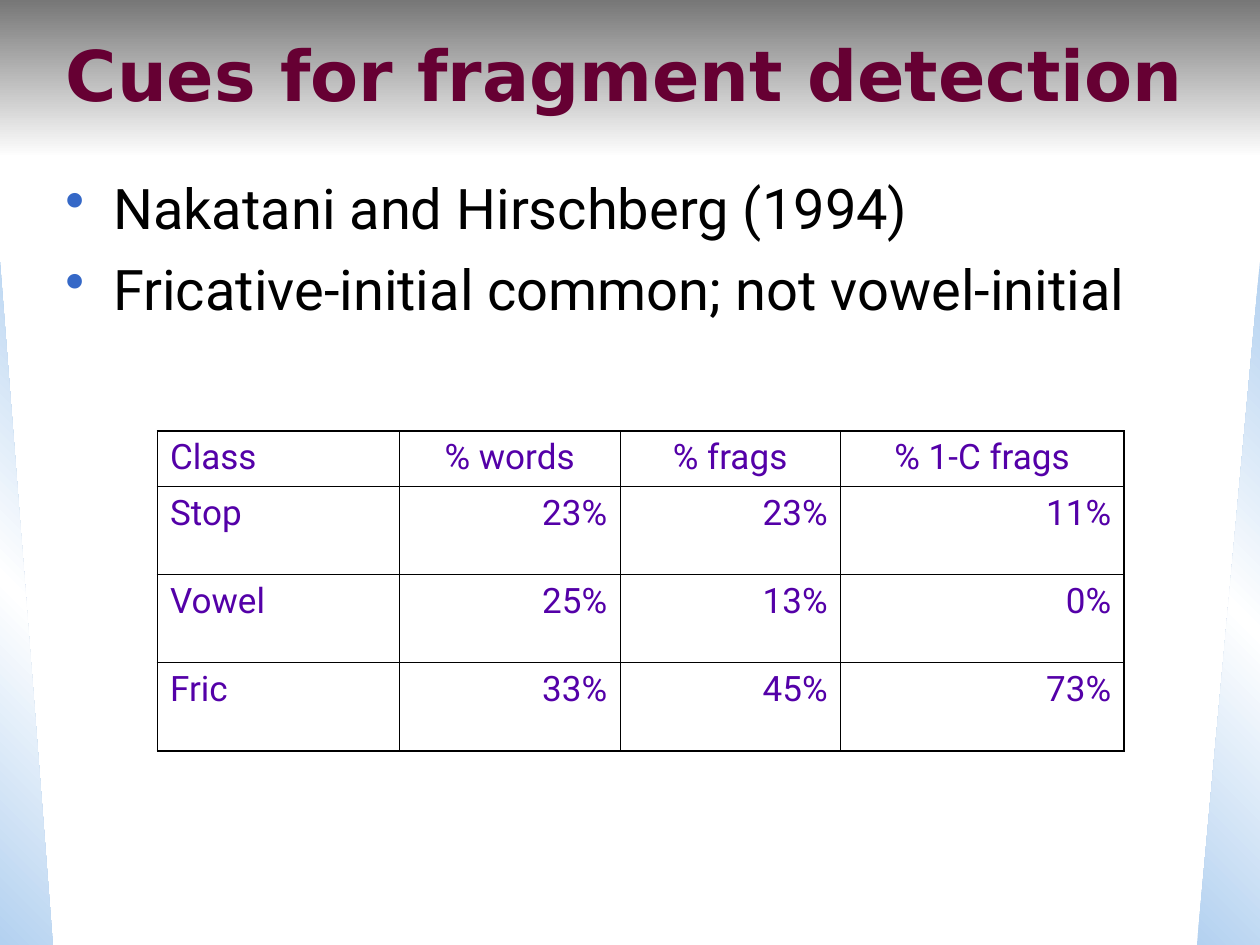
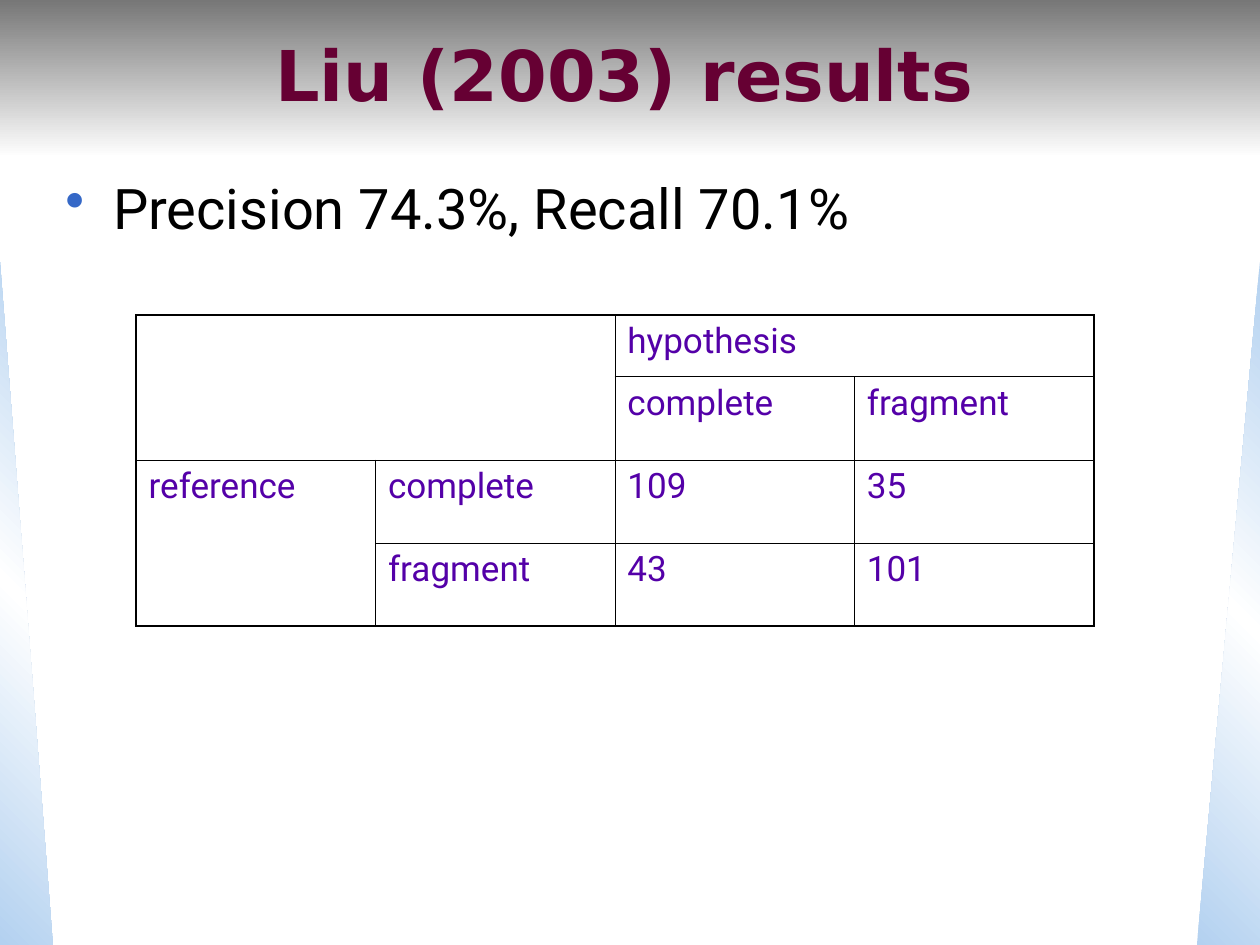
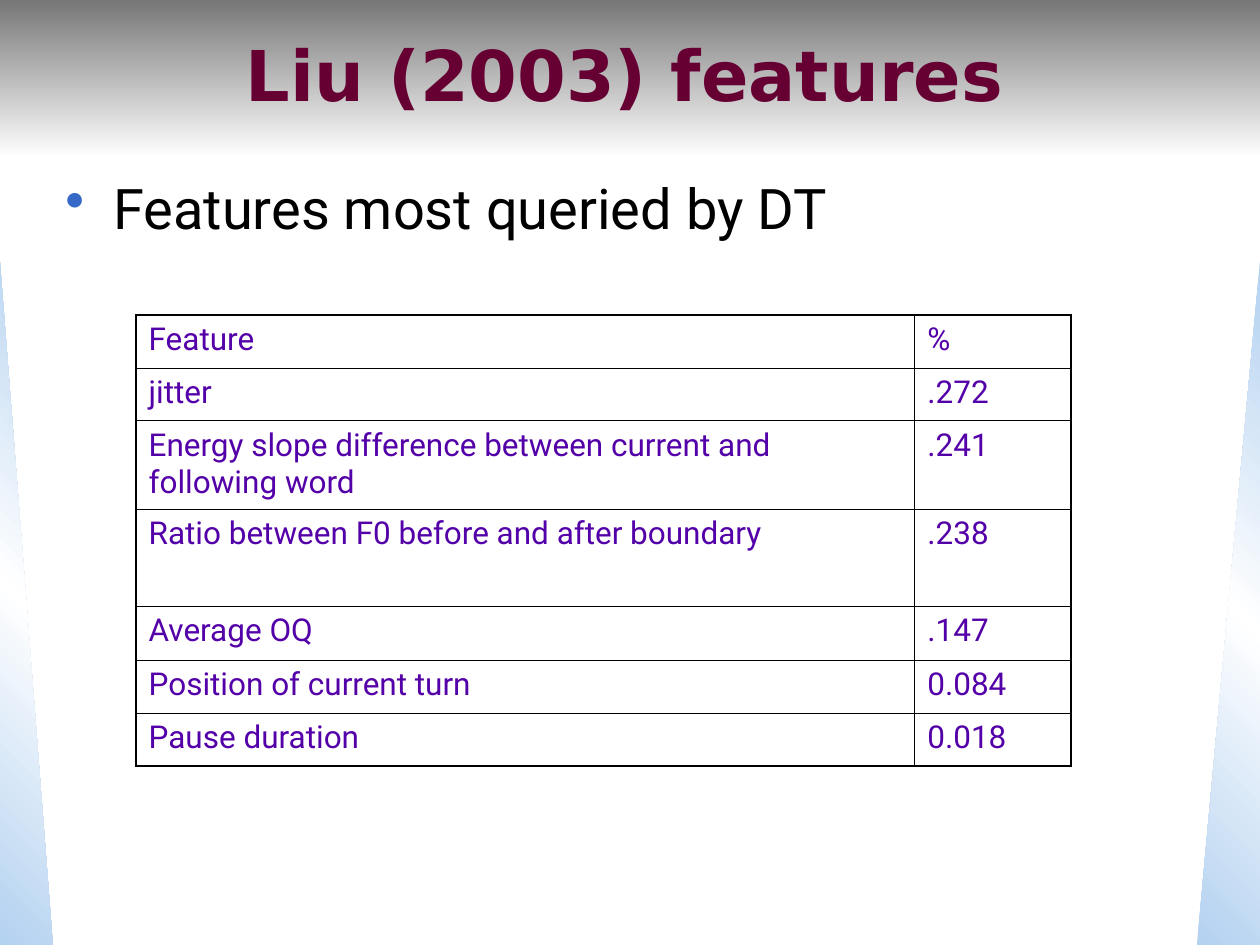
from dataclasses import dataclass

from pptx import Presentation
from pptx import util as u
from pptx.dml.color import RGBColor
from pptx.enum import shapes, text
from pptx.oxml import parse_xml
from pptx.oxml.ns import nsdecls, qn

TITLE_ONLY = 5


@dataclass(frozen=True)
class Theme:
    title_font: str = "DejaVu Sans"
    body_font: str = "Roboto"
    title_color: str = "660033"
    body_color: str = "000000"
    bullet_color: str = "3568C7"
    table_color: str = "5400A8"
    border_color: str = "000000"
    band: tuple = ("777777", "FFFFFF")
    wedge: tuple = ("B3D1F0", "FFFFFF", "B3D1F0")
    title_size: float = 40
    body_size: float = 32
    table_size: float = 20
    small_table_size: float = 18
    outer_border: float = 1.08
    inner_border: float = 0.45


class Deck:
    def __init__(self, theme):
        self.theme = theme
        self.prs = Presentation()
        self.prs.slide_width, self.prs.slide_height = u.Inches(10), u.Inches(7.5)
        self.s = None

    def slide(self, title):
        t = self.theme
        self.s = self.prs.slides.add_slide(self.prs.slide_layouts[TITLE_ONLY])
        self.gradient_shape(shapes.MSO_SHAPE.RECTANGLE, (0, 0, 10, 1.25), t.band, 90)
        triangle = shapes.MSO_SHAPE.RIGHT_TRIANGLE
        self.gradient_shape(triangle, (0, 2.08, 0.42, 5.42), t.wedge, 135)
        right = self.gradient_shape(triangle, (9.5, 2.08, 0.5, 5.42), t.wedge, 225)
        right.element.spPr.find(qn("a:xfrm")).set("flipH", "1")
        self.title(title)

    def title(self, words):
        t = self.theme
        sp = self.s.shapes.title
        self.s.shapes.element.append(sp.element)  # bring in front of the band
        sp.left, sp.top, sp.width, sp.height = map(u.Inches, (0.08, 0, 9.75, 1.17))
        tf = sp.text_frame
        tf.text = words
        tf.word_wrap = True
        tf.auto_size = text.MSO_AUTO_SIZE.NONE
        tf.vertical_anchor = text.MSO_ANCHOR.MIDDLE
        p = tf.paragraphs[0]
        p.alignment = text.PP_ALIGN.CENTER
        self.format_runs(p, t.title_font, t.title_size, t.title_color, bold=True)

    def gradient_shape(self, kind, box, colors, angle):
        """Add a borderless shape whose colours are spread evenly along angle."""
        sp = self.s.shapes.add_shape(kind, *map(u.Inches, box))
        step = 100000 // (len(colors) - 1)
        stops = "".join(
            f'<a:gs pos="{i * step}"><a:srgbClr val="{color}"/></a:gs>'
            for i, color in enumerate(colors))
        sp.element.spPr.append(parse_xml(
            f'<a:gradFill {nsdecls("a")} rotWithShape="1"><a:gsLst>{stops}</a:gsLst>'
            f'<a:lin ang="{angle * 60000}" scaled="0"/></a:gradFill>'))
        sp.line.fill.background()
        sp.shadow.inherit = False
        return sp

    def bullets(self, *lines):
        t = self.theme
        sp = self.s.shapes.add_textbox(*map(u.Inches, (0.42, 1.33, 9, 5.75)))
        tf = sp.text_frame
        tf.word_wrap = True
        for i, line in enumerate(lines):
            p = tf.add_paragraph() if i else tf.paragraphs[0]
            p.text = line
            pPr = p._p.get_or_add_pPr()
            indent = u.Inches(0.38)
            pPr.set("marL", str(indent))
            pPr.set("indent", str(-indent))
            pPr.append(parse_xml(
                f'<a:buClr {nsdecls("a")}><a:srgbClr val="{t.bullet_color}"/></a:buClr>'))
            pPr.append(parse_xml(f'<a:buChar {nsdecls("a")} char="•"/>'))
            p.space_before = u.Pt(8 if i else 0)
            self.format_runs(p, t.body_font, t.body_size, t.body_color)

    def table(self, left, top, cols, heights, rows, size, merges=(),
              head_align=text.PP_ALIGN.LEFT, value_align=text.PP_ALIGN.LEFT):
        """Add a ruled table; the two alignments apply after the first column."""
        t = self.theme
        frame = self.s.shapes.add_table(
            len(rows), len(cols),
            *map(u.Inches, (left, top, sum(cols), sum(heights))))
        tbl = frame.table
        tbl.first_row = tbl.horz_banding = False
        for col, width in zip(tbl.columns, cols):
            col.width = u.Inches(width)
        for row, height in zip(tbl.rows, heights):
            row.height = u.Inches(height)
        for first, last in merges:
            tbl.cell(*first).merge(tbl.cell(*last))
        for i, row in enumerate(rows):
            for j, value in enumerate(row):
                cell = tbl.cell(i, j)
                if cell.is_spanned:
                    continue
                if value:
                    cell.text = value
                    p = cell.text_frame.paragraphs[0]
                    if j:
                        p.alignment = value_align if i else head_align
                    self.format_runs(p, t.body_font, size, t.table_color)
                down, across = ((cell.span_height, cell.span_width)
                                if cell.is_merge_origin else (1, 1))
                self.borders(cell, L=j == 0, R=j + across == len(cols),
                             T=i == 0, B=i + down == len(rows))
                cell.fill.background()

    def borders(self, cell, **outer_sides):
        t = self.theme
        tcPr = cell._tc.get_or_add_tcPr()
        for side, outer in outer_sides.items():
            width = u.Pt(t.outer_border if outer else t.inner_border)
            tcPr.append(parse_xml(
                f'<a:ln{side} {nsdecls("a")} w="{width}"><a:solidFill>'
                f'<a:srgbClr val="{t.border_color}"/></a:solidFill></a:ln{side}>'))

    @staticmethod
    def format_runs(p, font, size, color, bold=False):
        for r in p.runs:
            r.font.name = font
            r.font.size = u.Pt(size)
            r.font.bold = bold
            r.font.color.rgb = RGBColor.from_string(color)


def main():
    theme = Theme()
    deck = Deck(theme)

    deck.slide("Cues for fragment detection")
    deck.bullets("Nakatani and Hirschberg (1994)",
                 "Fricative-initial common; not vowel-initial")
    deck.table(1.25, 3.42, [1.92, 1.75, 1.75, 2.25], [0.44] + [0.7] * 3, [
        ["Class", "% words", "% frags", "% 1-C frags"],
        ["Stop", "23%", "23%", "11%"],
        ["Vowel", "25%", "13%", "0%"],
        ["Fric", "33%", "45%", "73%"],
    ], theme.table_size, head_align=text.PP_ALIGN.CENTER,
        value_align=text.PP_ALIGN.RIGHT)

    deck.slide("Liu (2003) results")
    deck.bullets("Precision 74.3%, Recall 70.1%")
    deck.table(1.08, 2.5, [1.9] * 4, [0.49] + [0.66] * 3, [
        ["", "", "hypothesis", ""],
        ["", "", "complete", "fragment"],
        ["reference", "complete", "109", "35"],
        ["", "fragment", "43", "101"],
    ], theme.table_size,
        merges=[((0, 0), (1, 1)), ((0, 2), (0, 3)), ((2, 0), (3, 0))])

    deck.slide("Liu (2003) features")
    deck.bullets("Features most queried by DT")
    deck.table(1.08, 2.5, [6.18, 1.24], [0.42, 0.42, 0.7, 0.77, 0.43, 0.42, 0.42], [
        ["Feature", "%"],
        ["jitter", ".272"],
        ["Energy slope difference between current and following word", ".241"],
        ["Ratio between F0 before and after boundary", ".238"],
        ["Average OQ", ".147"],
        ["Position of current turn", "0.084"],
        ["Pause duration", "0.018"],
    ], theme.small_table_size)

    deck.prs.save("out.pptx")


if __name__ == "__main__":
    main()
